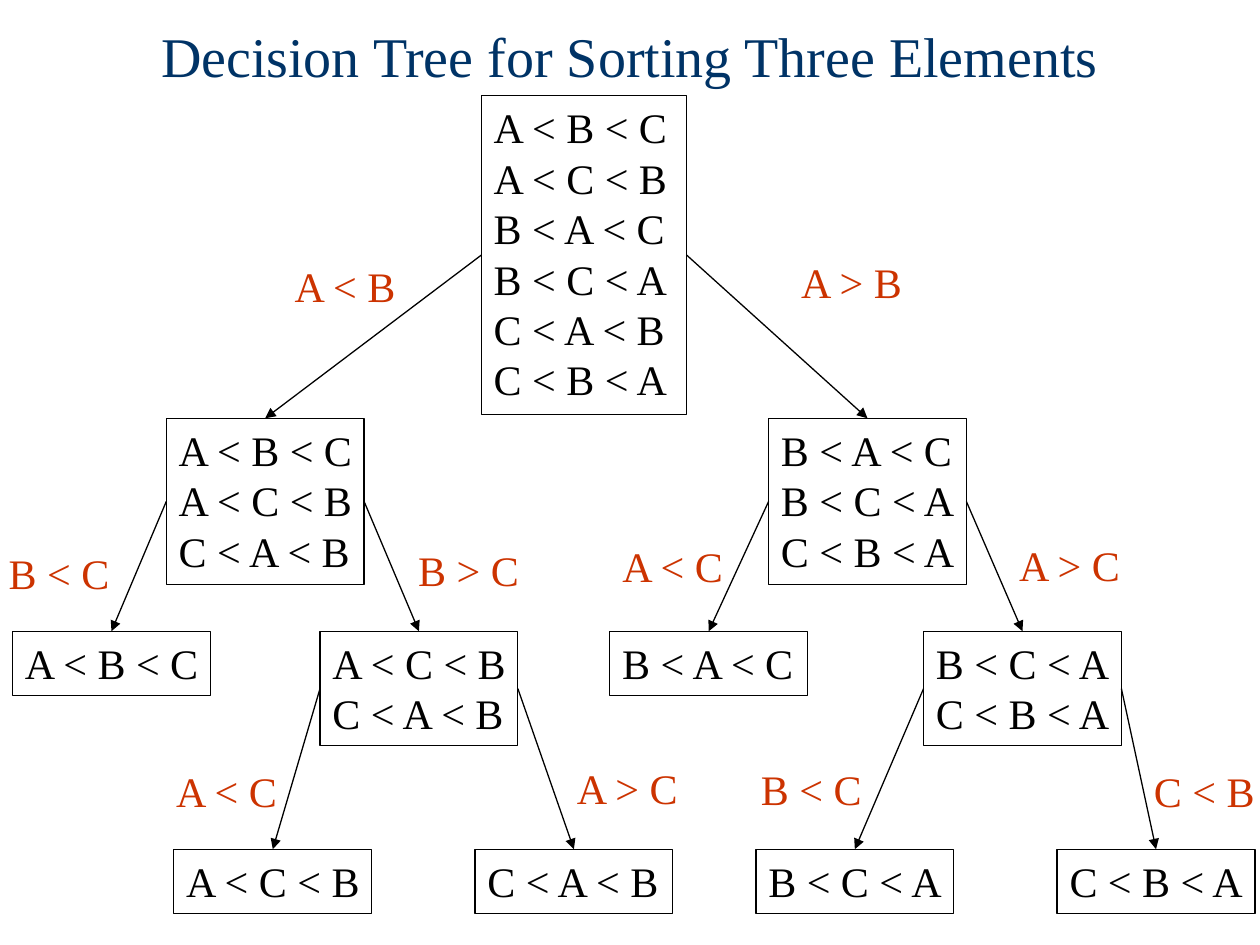
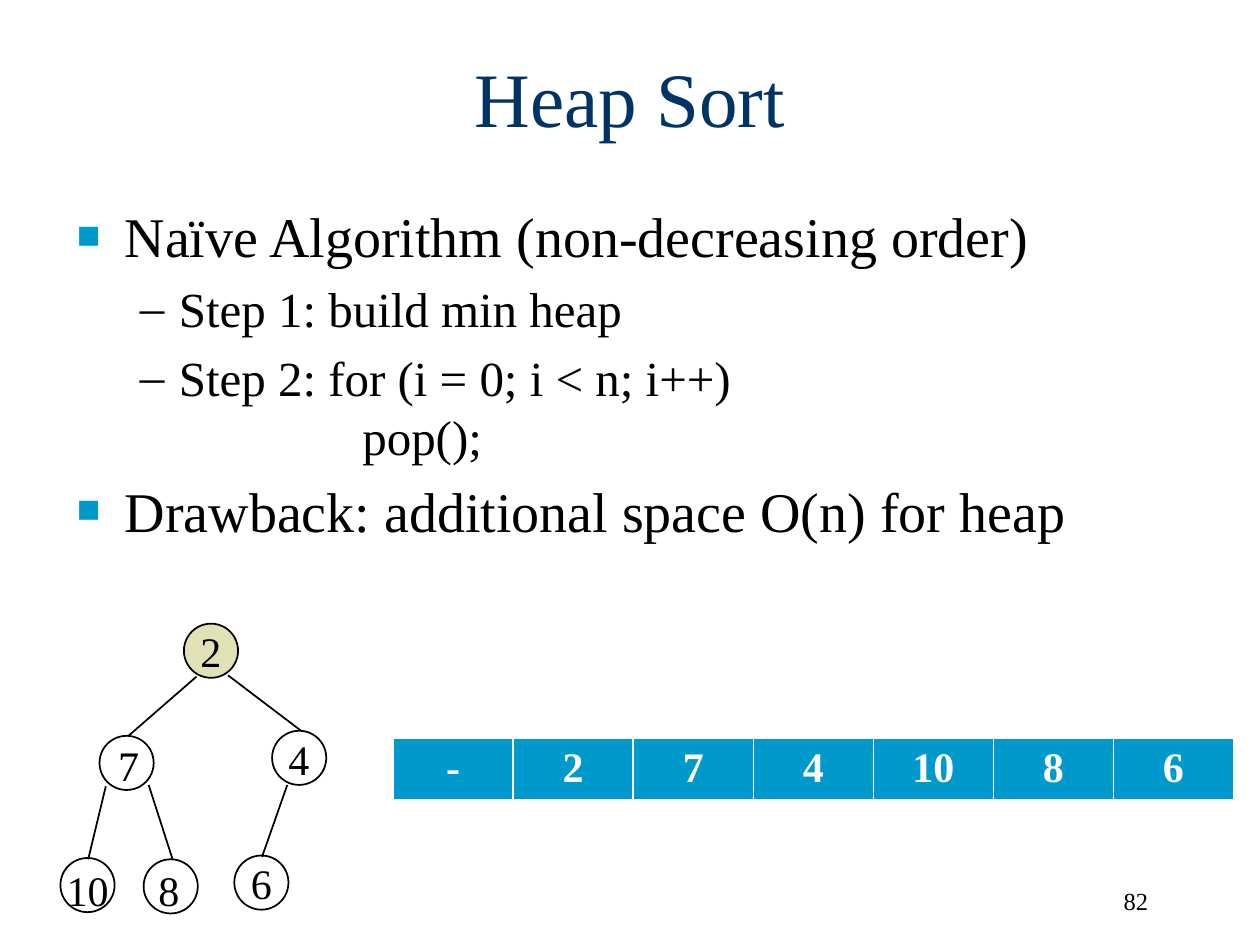
from dataclasses import dataclass
from typing import Optional

from lxml import etree
from pptx import Presentation
from pptx import util as u
from pptx.dml.color import RGBColor
from pptx.enum import shapes, text
from pptx.oxml import ns

# Shared look
PX = 9144  # EMU in one px, 100 px to the inch
FONT = "Times New Roman"
COLORS = {
    "title": "003366",
    "ink": "000000",
    "condition": "CC3300",
    "accent": "0099CC",
    "heap_root": "E1E1B7",
    "white": "FFFFFF",
}


@dataclass(frozen=True)
class Orders:
    """A tree box listing the orders that are still possible."""
    left: int
    top: int
    lines: list[str]
    width: int = 157

    @property
    def height(self) -> int:
        return round(10.8 + 40.3 * len(self.lines))


@dataclass(frozen=True)
class Decision:
    """An arrow from one side of a box to the top of another."""
    parent: str
    side: int
    child: str
    condition: str
    left: int
    top: int


@dataclass(frozen=True)
class HeapNode:
    value: str
    left: int
    top: int
    label_at: Optional[tuple[int, int, int]] = None  # left, top, width
    fill: Optional[str] = None


@dataclass(frozen=True)
class Bullet:
    words: str
    level: int = 0


@dataclass(frozen=True)
class BulletStyle:
    char: str
    size: int
    margin: int
    indent: int
    before: float
    color: str
    percent: int


# Slide 1: decision tree
LEFT, RIGHT = 1, 3  # connection sites of a rectangle
ORDERS = {
    "root": Orders(382, 76, ["A < B < C", "A < C < B", "B < A < C",
                             "B < C < A", "C < A < B", "C < B < A"], 163),
    "a_first": Orders(132, 332, ["A < B < C", "A < C < B", "C < A < B"]),
    "b_first": Orders(610, 332, ["B < A < C", "B < C < A", "C < B < A"]),
    "abc": Orders(10, 501, ["A < B < C"]),
    "c_before_b": Orders(254, 501, ["A < C < B", "C < A < B"]),
    "bac": Orders(484, 501, ["B < A < C"]),
    "c_before_a": Orders(733, 501, ["B < C < A", "C < B < A"]),
    "acb": Orders(138, 674, ["A < C < B"]),
    "cab": Orders(377, 674, ["C < A < B"]),
    "bca": Orders(600, 674, ["B < C < A"]),
    "cba": Orders(839, 674, ["C < B < A"]),
}
DECISIONS = [
    Decision("root", LEFT, "a_first", "A < B", 224, 202),
    Decision("root", RIGHT, "b_first", "A > B", 626, 199),
    Decision("a_first", LEFT, "abc", "B < C", -3, 430),
    Decision("a_first", RIGHT, "c_before_b", "B > C", 322, 427),
    Decision("b_first", LEFT, "bac", "A < C", 484, 424),
    Decision("b_first", RIGHT, "c_before_a", "A > C", 799, 423),
    Decision("c_before_b", LEFT, "acb", "A < C", 130, 603),
    Decision("c_before_b", RIGHT, "cab", "A > C", 448, 600),
    Decision("c_before_a", LEFT, "bca", "B < C", 594, 601),
    Decision("c_before_a", RIGHT, "cba", "C < B", 906, 603),
]

# Slide 2: heap sort
BULLETS = [
    Bullet("Naïve Algorithm (non-decreasing order)"),
    Bullet("Step 1: build min heap", 1),
    Bullet("Step 2: for (i = 0; i < n; i++)\v               pop();", 1),
    Bullet("Drawback: additional space O(n) for heap"),
]
BULLET_STYLES = [
    BulletStyle("■", 32, 38, -38, 6.4, "accent", 70),
    BulletStyle("–", 28, 81, -31, 5.6, "ink", 100),
]
NODE_SIZE = 43
HEAP = [
    HeapNode("2", 146, 495, fill="heap_root"),
    HeapNode("7", 79, 584, (84, 582, 37)),
    HeapNode("4", 216, 580, (219, 577, 37)),
    HeapNode("10", 48, 681, (43, 681, 54)),
    HeapNode("8", 114, 682, (116, 681, 37)),
    HeapNode("6", 186, 679),
]
HEAP_EDGES = [
    (156, 537, 102, 584), (181, 536, 239, 580), (84, 624, 70, 682),
    (118, 623, 137, 682), (228, 623, 208, 680),
]
HEAP_ARRAY = ["-", "2", "7", "4", "10", "8", "6"]


def rgb(name: str) -> RGBColor:
    return RGBColor.from_string(COLORS[name])


def px(*lengths: int) -> list[int]:
    return [u.Emu(length * PX) for length in lengths]


def add_xml(parent, tag: str, **attributes):
    return etree.SubElement(parent, ns.qn(tag), attributes)


def style(paragraph, size: int, color: str = "ink",
          align=text.PP_ALIGN.LEFT, bold: bool = False) -> None:
    paragraph.alignment = align
    font = paragraph.font
    font.name, font.size, font.bold = FONT, u.Pt(size), bold
    font.color.rgb = rgb(color)


def write(frame, lines: list[str], size: int = 24, color: str = "ink",
          align=text.PP_ALIGN.LEFT, wrap: bool = False) -> None:
    frame.word_wrap = wrap
    frame.text = "\n".join(lines)
    for paragraph in frame.paragraphs:
        style(paragraph, size, color, align)


def place(shape, left: int, top: int, width: int, height: int) -> None:
    shape.left, shape.top, shape.width, shape.height = px(left, top, width, height)
    shape.text_frame.auto_size = text.MSO_AUTO_SIZE.NONE


def set_title(slide, words: str, top: int, size: int) -> None:
    title = slide.shapes.title
    place(title, 75, top, 850, 125)
    write(title.text_frame, [words], size, "title", text.PP_ALIGN.CENTER, True)
    title.text_frame.vertical_anchor = text.MSO_ANCHOR.MIDDLE


def add_label(slide, words: str, left: int, top: int, width: int, height: int,
              **look) -> None:
    label = slide.shapes.add_textbox(*px(left, top, width, height))
    write(label.text_frame, [words], **look)


def add_outline(slide, kind, left: int, top: int, width: int, height: int,
                weight: float, fill: Optional[str] = None):
    shape = slide.shapes.add_shape(kind, *px(left, top, width, height))
    shape.shadow.inherit = False
    shape.line.color.rgb = rgb("ink")
    shape.line.width = u.Pt(weight)
    if fill:
        shape.fill.solid()
        shape.fill.fore_color.rgb = rgb(fill)
    else:
        shape.fill.background()
    return shape


def add_line(slide, ends: tuple[int, int, int, int], weight: float):
    line = slide.shapes.add_connector(shapes.MSO_CONNECTOR.STRAIGHT, *px(*ends))
    line.line.color.rgb = rgb("ink")
    line.line.width = u.Pt(weight)
    add_xml(line._element.spPr, "a:effectLst")
    return line


def add_orders(slide, orders: Orders):
    box = add_outline(slide, shapes.MSO_SHAPE.RECTANGLE, orders.left, orders.top,
                      orders.width, orders.height, 0.75)
    write(box.text_frame, orders.lines)
    box.text_frame.vertical_anchor = text.MSO_ANCHOR.TOP
    return box


def add_decision(slide, boxes: dict, decision: Decision) -> None:
    arrow = add_line(slide, (0, 0, 0, 0), 0.75)
    arrow.begin_connect(boxes[decision.parent], decision.side)
    arrow.end_connect(boxes[decision.child], 0)
    add_xml(arrow.line._get_or_add_ln(), "a:tailEnd", type="triangle")
    add_label(slide, decision.condition, decision.left, decision.top, 101, 50,
              color="condition")


def add_bullet(paragraph, bullet: Bullet, first: bool) -> None:
    look = BULLET_STYLES[bullet.level]
    paragraph.text = bullet.words
    paragraph.level = bullet.level
    paragraph.space_before = u.Pt(0 if first else look.before)
    properties = paragraph._p.get_or_add_pPr()
    properties.set("marL", str(look.margin * PX))
    properties.set("indent", str(look.indent * PX))
    color = add_xml(properties, "a:buClr")
    add_xml(color, "a:srgbClr", val=COLORS[look.color])
    add_xml(properties, "a:buSzPct", val=str(look.percent * 1000))
    add_xml(properties, "a:buFont", typeface=FONT)
    add_xml(properties, "a:buChar", char=look.char)
    style(paragraph, look.size)


def add_heap_node(slide, node: HeapNode) -> None:
    circle = add_outline(slide, shapes.MSO_SHAPE.OVAL, node.left, node.top,
                         NODE_SIZE, NODE_SIZE, 1, node.fill)
    if node.label_at:
        add_label(slide, node.value, *node.label_at, 51)
    else:
        write(circle.text_frame, [node.value], align=text.PP_ALIGN.CENTER)


def add_array(slide, values: list[str]) -> None:
    table = slide.shapes.add_table(1, len(values), *px(312, 586, 667, 41)).table
    for cell, value in zip(table.rows[0].cells, values):
        cell.text = value
        style(cell.text_frame.paragraphs[0], 24, "white", text.PP_ALIGN.CENTER, True)
        properties = cell._tc.get_or_add_tcPr()
        for side, weight in (("L", 1), ("R", 1), ("T", 1), ("B", 3)):
            border = add_xml(properties, f"a:ln{side}", w=str(u.Pt(weight)))
            fill = add_xml(border, "a:solidFill")
            add_xml(fill, "a:srgbClr", val=COLORS["white"])
        cell.fill.solid()
        cell.fill.fore_color.rgb = rgb("accent")


def build_decision_tree(presentation) -> None:
    slide = presentation.slides.add_slide(presentation.slide_layouts[5])
    set_title(slide, "Decision Tree for Sorting Three Elements", -19, 32)
    boxes = {name: add_orders(slide, orders) for name, orders in ORDERS.items()}
    for decision in DECISIONS:
        add_decision(slide, boxes, decision)


def build_heap_sort(presentation) -> None:
    slide = presentation.slides.add_slide(presentation.slide_layouts[1])
    set_title(slide, "Heap Sort", 14, 44)
    body = slide.placeholders[1]
    place(body, 51, 155, 897, 402)
    frame = body.text_frame
    for index, bullet in enumerate(BULLETS):
        paragraph = frame.add_paragraph() if index else frame.paragraphs[0]
        add_bullet(paragraph, bullet, index == 0)
    for ends in HEAP_EDGES:
        add_line(slide, ends, 1)
    for node in HEAP:
        add_heap_node(slide, node)
    add_array(slide, HEAP_ARRAY)
    add_label(slide, "82", 713, 698, 208, 50, size=14,
              align=text.PP_ALIGN.RIGHT, wrap=True)


def main() -> None:
    presentation = Presentation()
    presentation.slide_width, presentation.slide_height = px(1000, 750)
    build_decision_tree(presentation)
    build_heap_sort(presentation)
    presentation.save("out.pptx")


if __name__ == "__main__":
    main()
